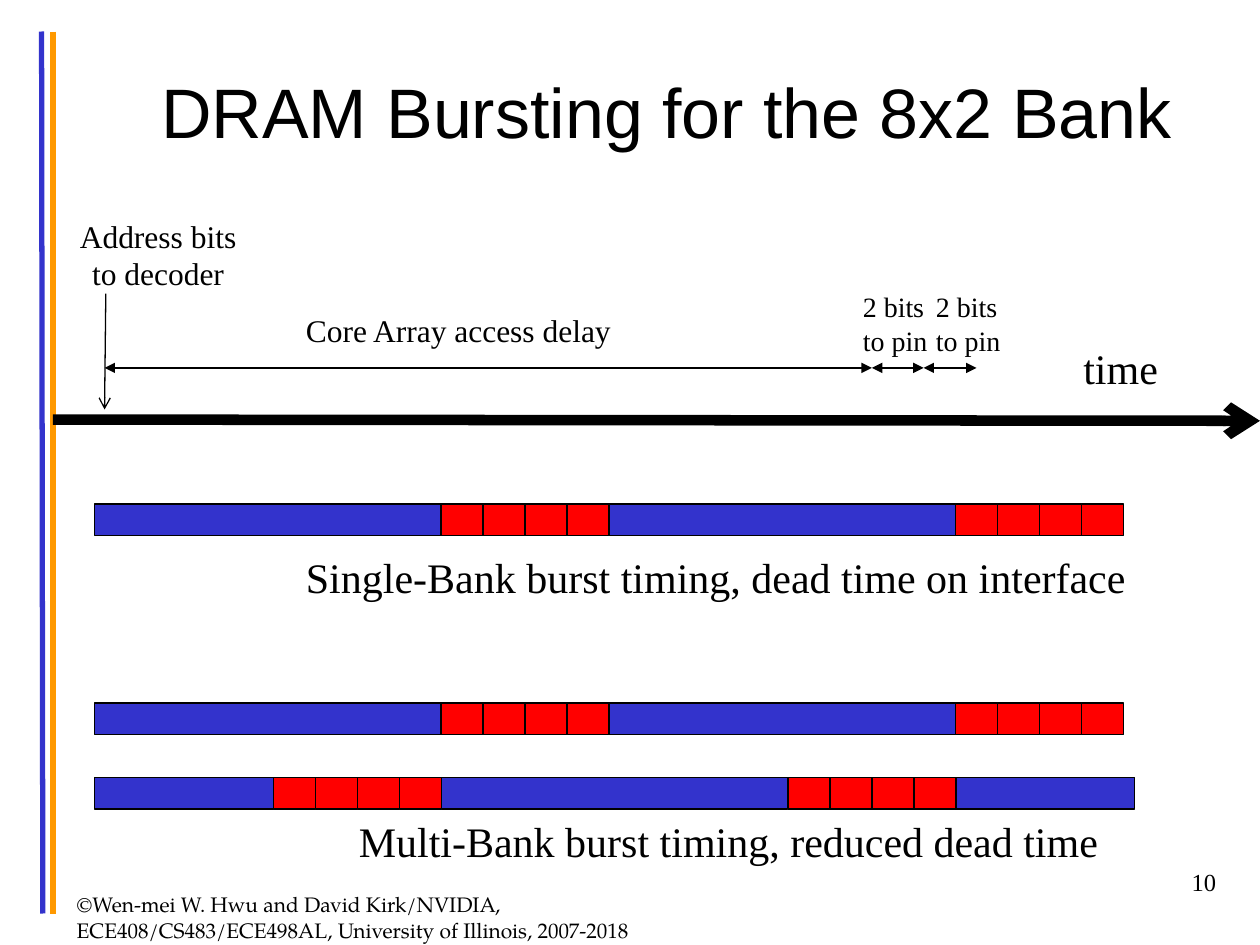
from dataclasses import dataclass

from lxml.etree import SubElement
from pptx import Presentation
from pptx.dml.color import RGBColor
from pptx.enum.shapes import MSO_CONNECTOR as Connector, MSO_SHAPE as Shape
from pptx.enum.text import MSO_ANCHOR as Anchor, PP_ALIGN as Align
from pptx.oxml.ns import qn
from pptx.util import Inches, Pt


@dataclass(frozen=True)
class Theme:
    ink: RGBColor = RGBColor(0, 0, 0)
    blue: RGBColor = RGBColor(0x33, 0x33, 0xCC)
    orange: RGBColor = RGBColor(0xFF, 0x99, 0)
    red: RGBColor = RGBColor(0xFF, 0, 0)
    title_font: str = "Arial"
    body_font: str = "Times New Roman"
    credit_font: str = "TeX Gyre Pagella"
    title: int = 40
    caption: int = 24
    label: int = 18
    pin: int = 16
    number: int = 14
    credit: int = 12
    thin: float = 0.75
    rule: int = 3
    axis: int = 6


class SlideBuilder:
    def __init__(self, slide, theme):
        self.slide = slide
        self.theme = theme

    def text(self, words, left, top, width, height, size, font=None,
             align=Align.LEFT, anchor=Anchor.TOP, wrap=True):
        box = self.slide.shapes.add_textbox(
            Inches(left), Inches(top), Inches(width), Inches(height))
        frame = box.text_frame
        frame.word_wrap = wrap
        frame.vertical_anchor = anchor
        frame.text = words
        for paragraph in frame.paragraphs:
            paragraph.alignment = align
            for run in paragraph.runs:
                run.font.size = Pt(size)
                run.font.name = font or self.theme.body_font
                run.font.color.rgb = self.theme.ink

    def line(self, start, end, color, weight, head=None, tail=None):
        connector = self.slide.shapes.add_connector(
            Connector.STRAIGHT, *(Inches(v) for v in (*start, *end)))
        connector.line.color.rgb = color
        connector.line.width = Pt(weight)
        stroke = connector.line._get_or_add_ln()
        for tag, kind in (("a:headEnd", head), ("a:tailEnd", tail)):
            if kind:
                SubElement(stroke, qn(tag), type=kind)
        SubElement(connector._element.spPr, qn("a:effectLst"))

    def block(self, left, top, width, height, color):
        rect = self.slide.shapes.add_shape(
            Shape.RECTANGLE, Inches(left), Inches(top), Inches(width), Inches(height))
        rect.shadow.inherit = False
        rect.fill.solid()
        rect.fill.fore_color.rgb = color
        rect.line.color.rgb = self.theme.ink
        rect.line.width = Pt(self.theme.thin)

    def bank(self, top, delays, bursts=2, beats=4):
        left, beat = 0.75, 1 / 3
        for index, delay in enumerate(delays):
            self.block(left, top, delay, 0.25, self.theme.blue)
            left += delay
            if index < bursts:
                for _ in range(beats):
                    self.block(left, top, beat, 0.25, self.theme.red)
                    left += beat


def main():
    deck = Presentation()
    deck.slide_width, deck.slide_height = Inches(10), Inches(7.5)
    theme = Theme()
    page = SlideBuilder(deck.slides.add_slide(deck.slide_layouts[6]), theme)

    page.line((0.33, 0.25), (0.34, 7.25), theme.blue, theme.rule)
    page.line((0.42, 0.25), (0.42, 7.25), theme.orange, theme.rule)
    page.text("DRAM Bursting for the 8x2 Bank", 0.75, 0.25, 9.08, 1.25,
              theme.title, theme.title_font, Align.CENTER, Anchor.MIDDLE)
    page.text("©Wen-mei W. Hwu and David Kirk/NVIDIA, "
              "ECE408/CS483/ECE498AL, University of Illinois, 2007-2018",
              0.51, 7.03, 4.75, 0.31, theme.credit, theme.credit_font)

    page.line((0.42, 3.33), (10, 3.34), theme.ink, theme.axis, tail="arrow")
    page.text("time", 8.5, 2.67, 0.8, 0.51, theme.caption, wrap=False)
    page.text("Address bits to decoder", 0.42, 1.67, 1.67, 0.71,
              theme.label, align=Align.CENTER)
    page.line((0.84, 2.33), (0.83, 3.25), theme.ink, theme.thin, tail="arrow")
    page.text("Core Array access delay", 2.33, 2.42, 3, 0.4, theme.label)

    phases = (0.83, 6.92, 7.33, 7.75)
    for begin, finish in zip(phases, phases[1:]):
        page.line((begin, 2.92), (finish, 2.92), theme.ink, theme.thin,
                  head="triangle", tail="triangle")
    for left in (6.75, 7.33):
        page.text("2 bits\nto pin", left, 2.25, 0.72, 0.64, theme.pin, wrap=False)

    full_delay, part_delay = 2.75, 1.42
    page.bank(4, (full_delay, full_delay))
    page.text("Single-Bank burst timing, dead time on interface",
              2.33, 4.33, 6.76, 0.51, theme.caption, wrap=False)
    page.bank(5.58, (full_delay, full_delay))
    page.bank(6.17, (part_delay, full_delay, part_delay))
    page.text("Multi-Bank burst timing, reduced dead time",
              2.75, 6.42, 6.2, 0.51, theme.caption, wrap=False)
    page.text("10", 7.67, 6.83, 2.08, 0.5, theme.number, align=Align.RIGHT)

    deck.save("out.pptx")


if __name__ == "__main__":
    main()
